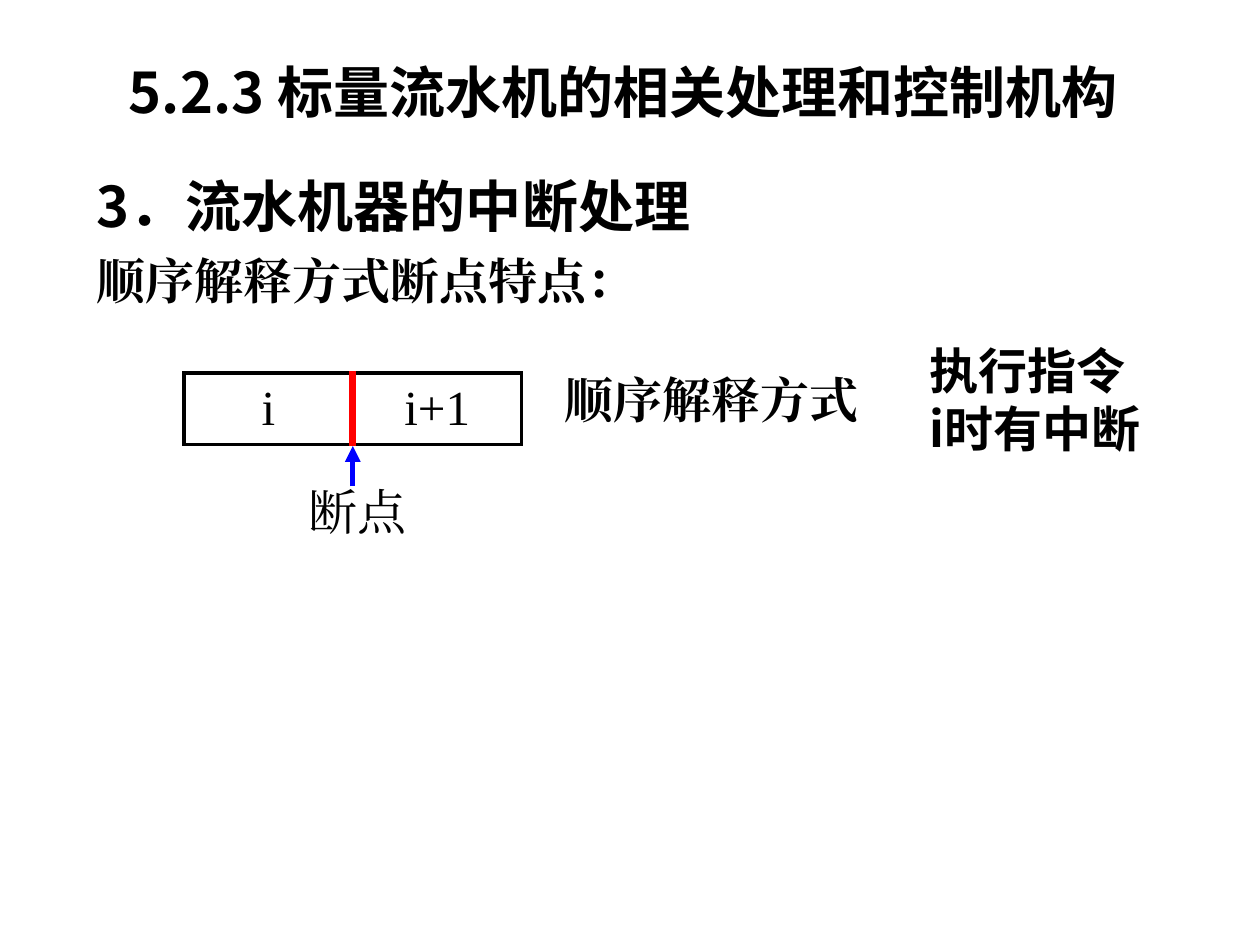
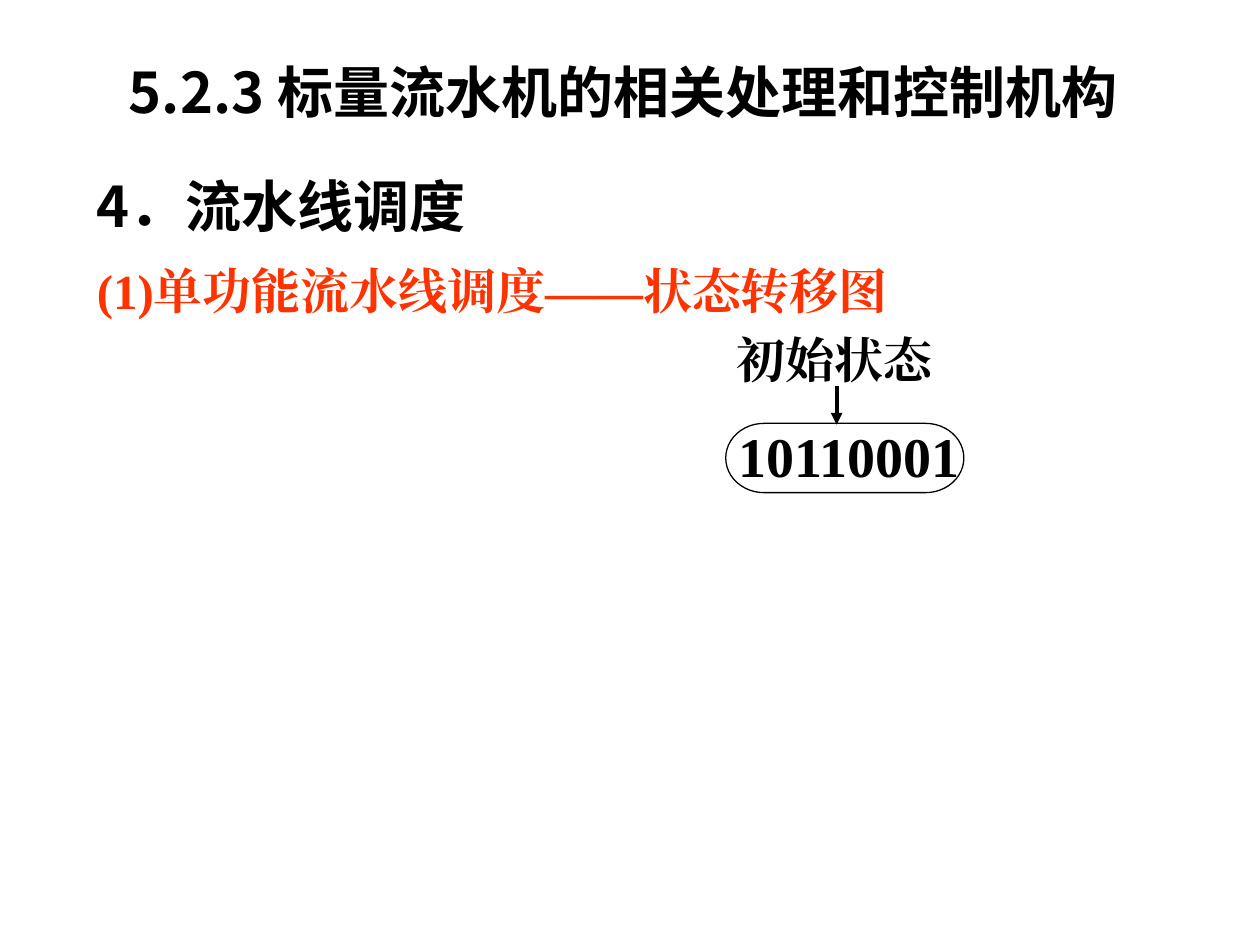
import pptx
import pptx.dml.color
import pptx.enum.shapes
import pptx.enum.text
import pptx.oxml.ns
import pptx.util
from lxml import etree

# Places are (column, row) and sizes (columns, rows) on a 100 by 75 grid.
CELL = pptx.util.Inches(0.1)
COLUMNS, ROWS = 100, 75

SANS, SERIF = "Noto Sans CJK SC", "Times New Roman"
BLACK, RED, BLUE, ORANGE = "000000", "FF0000", "0000FF", "FF3300"
ALIGN = pptx.enum.text.PP_ALIGN
ANCHOR = pptx.enum.text.MSO_ANCHOR

HEADING = {"name": SANS, "size": 32, "bold": True, "color": BLACK}
STRONG = {"name": SERIF, "size": 28, "bold": True, "color": BLACK}
PLAIN = {**STRONG, "bold": False}

DECK_TITLE = "5.2.3 标量流水机的相关处理和控制机构 "


def grid(*cells):
    return [round(cell * CELL) for cell in cells]


def rgb(color):
    return pptx.dml.color.RGBColor.from_string(color)


def add_child(parent, tag, **attributes):
    return etree.SubElement(parent, pptx.oxml.ns.qn(tag), attributes)


def write(frame, text, style, align=ALIGN.LEFT):
    """Fill a text frame, one paragraph for each line of text."""
    for number, line in enumerate(text.split("\n")):
        para = frame.paragraphs[0] if number == 0 else frame.add_paragraph()
        para.alignment = align
        span = para.add_run()
        span.text = line
        values = {"name": style["name"], "bold": style["bold"],
                  "size": pptx.util.Pt(style["size"])}
        for name, value in values.items():
            setattr(span.font, name, value)
        span.font.color.rgb = rgb(style["color"])
        add_child(span.font._element, "a:ea", typeface=style["name"])


def add_label(page, place, text, style, align=ALIGN.LEFT,
              anchor=ANCHOR.TOP, wrap=True):
    box = page.shapes.add_textbox(*grid(*place))
    box.text_frame.word_wrap = wrap
    box.text_frame.vertical_anchor = anchor
    write(box.text_frame, text, style, align)


def add_arrow(page, start, end, color, width):
    arrow = page.shapes.add_connector(
        pptx.enum.shapes.MSO_CONNECTOR.STRAIGHT, *grid(*start, *end))
    arrow.line.color.rgb = rgb(color)
    arrow.line.width = pptx.util.Pt(width)
    add_child(arrow.line._get_or_add_ln(), "a:tailEnd", type="triangle")
    add_child(arrow._element.spPr, "a:effectLst")


def set_borders(cell, borders):
    """Draw the sides of a cell, given as {side: (color, points)}."""
    properties = cell._tc.get_or_add_tcPr()
    for position, (side, (color, width)) in enumerate(borders.items()):
        line = add_child(properties, f"a:ln{side}",
                         w=str(pptx.util.Pt(width)))
        add_child(add_child(line, "a:solidFill"), "a:srgbClr", val=color)
        properties.insert(position, line)


def add_instruction_row(page, place, names):
    """Draw instructions side by side, with a red break between them."""
    frame = page.shapes.add_table(1, len(names), *grid(*place))
    table = frame.table
    table.first_row = table.horz_banding = False
    outer, inner = (BLACK, 2.25), (RED, 4.5)
    for column, name in enumerate(names):
        cell = table.cell(0, column)
        cell.vertical_anchor = ANCHOR.MIDDLE
        write(cell.text_frame, name, PLAIN, ALIGN.CENTER)
        cell.fill.background()
        set_borders(cell, {
            "L": outer if column == 0 else inner,
            "R": outer if column == len(names) - 1 else inner,
            "T": outer,
            "B": outer,
        })


def add_state_outline(page, place):
    state = page.shapes.add_shape(
        pptx.enum.shapes.MSO_SHAPE.FLOWCHART_TERMINATOR, *grid(*place))
    state.shadow.inherit = False
    state.fill.background()
    state.line.color.rgb = rgb(BLACK)
    state.line.width = pptx.util.Pt(0.75)


def add_page(deck, heading):
    page = deck.slides.add_slide(deck.slide_layouts[6])
    add_label(page, (5.9, 2.8, 88.2, 8.8), DECK_TITLE, HEADING,
              ALIGN.CENTER, ANCHOR.MIDDLE)
    add_label(page, (6.7, 13.1, 50.4, 6.3), heading, HEADING,
              anchor=ANCHOR.MIDDLE)
    return page


def build_interrupt_page(deck):
    page = add_page(deck, "3．流水机器的中断处理")
    add_label(page, (6.7, 19.4, 78, 5.7), "顺序解释方式断点特点：", STRONG)
    left, top, width, height = 14.6, 29.6, 26.8, 5.7
    add_instruction_row(page, (left, top, width, height), ["i", "i+1"])
    add_label(page, (43.7, 28.8, 25.5, 5.7), "顺序解释方式", STRONG,
              ALIGN.CENTER, wrap=False)
    add_label(page, (72.8, 26.5, 19.7, 10.3), "执行指令\ni时有中断",
              {**STRONG, "name": SANS})
    middle, bottom = left + width / 2, top + height
    add_label(page, (23.5, 37.7, 9.8, 5.7), "断点", PLAIN,
              ALIGN.CENTER, wrap=False)
    add_arrow(page, (middle, bottom + 3.3), (middle, bottom + 0.1), BLUE, 3)


def build_scheduling_page(deck):
    page = add_page(deck, "4．流水线调度")
    add_label(page, (6.7, 20.2, 72.4, 5.7),
              "(1)单功能流水线调度——状态转移图", {**STRONG, "color": ORANGE})
    add_label(page, (57.6, 33, 19.8, 6.3), "10110001",
              {**STRONG, "size": 32}, wrap=False)
    add_state_outline(page, (57.6, 33.6, 18.9, 5.5))
    add_arrow(page, (66.4, 30.6), (66.4, 33.7), BLACK, 2.25)
    add_label(page, (57.2, 25.7, 18, 5.7), "初始状态", STRONG, ALIGN.CENTER)


def main():
    deck = pptx.Presentation()
    deck.slide_width, deck.slide_height = grid(COLUMNS, ROWS)
    build_interrupt_page(deck)
    build_scheduling_page(deck)
    deck.save("out.pptx")


if __name__ == "__main__":
    main()
